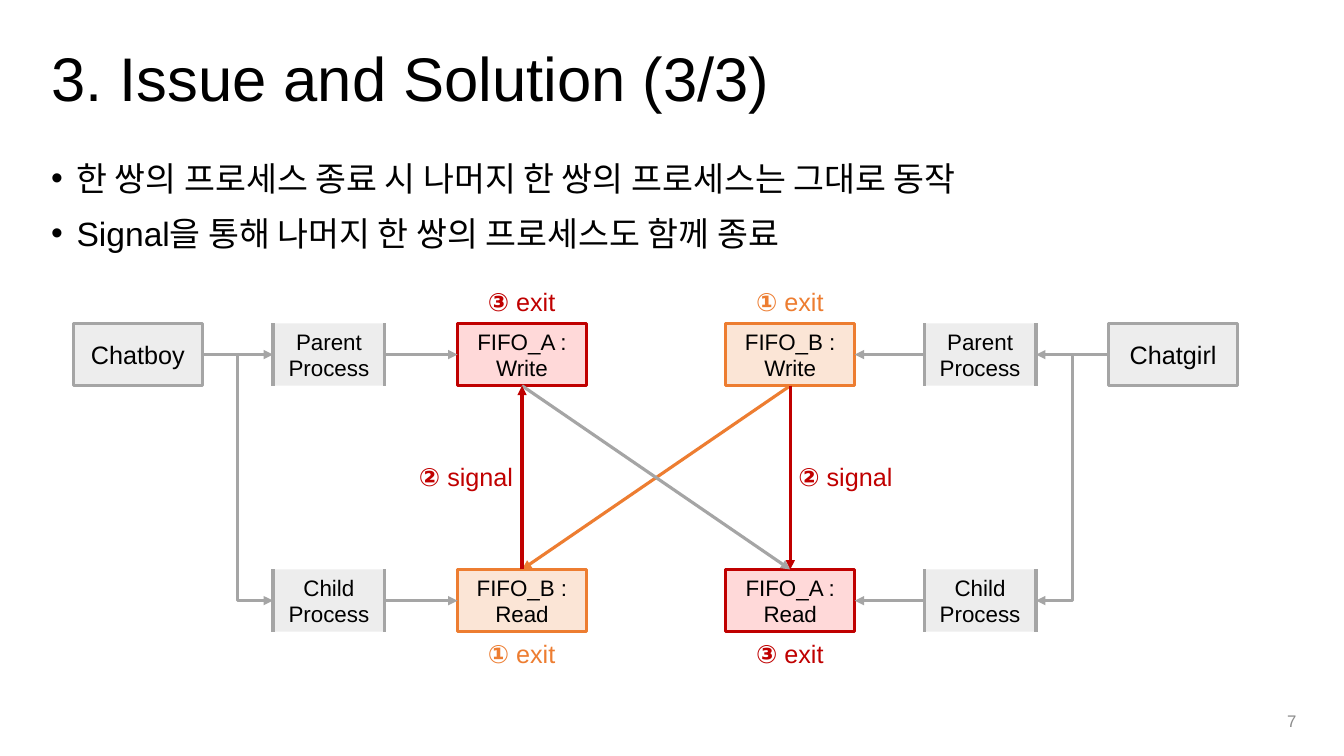
from lxml.etree import SubElement
from pptx import Presentation
from pptx.dml.color import RGBColor
from pptx.enum.shapes import MSO_CONNECTOR, MSO_SHAPE
from pptx.enum.text import MSO_ANCHOR, PP_ALIGN
from pptx.oxml.ns import qn
from pptx.util import Cm, Pt

HUES = {
    "black": "000000", "gray": "A5A5A5", "pale": "EDEDED", "page": "8C8C8C",
    "red": "C00000", "pink": "FFD9D9", "orange": "ED7D31", "peach": "FBE5D6",
}
TOP, LEFT, BOTTOM, RIGHT = range(4)
BOX_W, PROC_W, BOX_H = 3.25, 2.82, 1.57
TAG_W, TAG_H = 3.23, 1.02
UPPER, LOWER = 1.06, 7.26


def hue(name):
    return RGBColor.from_string(HUES[name])


def style(run, size, color, bold=False):
    run.font.name = "Arial"
    run.font.size = Pt(size)
    run.font.bold = bold
    run.font.color.rgb = hue(color)


def add_text(slide, box, text, size, color="black", align=PP_ALIGN.LEFT, anchor=MSO_ANCHOR.TOP):
    frame = slide.shapes.add_textbox(*map(Cm, box)).text_frame
    frame.word_wrap = True
    frame.vertical_anchor = anchor
    frame.text = text
    for para in frame.paragraphs:
        para.alignment = align
        for run in para.runs:
            style(run, size, color)
    return frame


def add_title(slide, box):
    frame = add_text(slide, box, "3. Issue and Solution (3/3)", 44, anchor=MSO_ANCHOR.MIDDLE)
    frame.paragraphs[0].line_spacing = 0.9


def add_points(slide, box):
    text = "한 쌍의 프로세스 종료 시 나머지 한 쌍의 프로세스는 그대로 동작\nSignal을 통해 나머지 한 쌍의 프로세스도 함께 종료"
    for para in add_text(slide, box, text, 24).paragraphs:
        para.space_before = Pt(10)
        props = para._p.get_or_add_pPr()
        props.set("marL", str(Cm(0.64)))
        props.set("indent", str(Cm(-0.64)))
        SubElement(props, qn("a:buFont")).set("typeface", "Arial")
        SubElement(props, qn("a:buChar")).set("char", "•")


def add_node(slide, box, text, size, fill="pale", line="gray", kind=MSO_SHAPE.RECTANGLE):
    node = slide.shapes.add_shape(kind, *map(Cm, box))
    if kind == MSO_SHAPE.DOUBLE_BRACKET:
        node.adjustments[0] = 0
    node.shadow.inherit = False
    node.fill.solid()
    node.fill.fore_color.rgb = hue(fill)
    node.line.color.rgb = hue(line)
    node.line.width = Pt(2.25)
    frame = node.text_frame
    frame.word_wrap = True
    frame.vertical_anchor = MSO_ANCHOR.MIDDLE
    frame.text = text
    frame.paragraphs[0].alignment = PP_ALIGN.CENTER
    style(frame.paragraphs[0].runs[0], size, "black")
    return node


def add_arrow(slide, start, out, end, into, color="gray", kind=MSO_CONNECTOR.STRAIGHT):
    arrow = slide.shapes.add_connector(kind, 0, 0, 0, 0)
    arrow.begin_connect(start, out)
    arrow.end_connect(end, into)
    arrow.line.color.rgb = hue(color)
    arrow.line.width = Pt(2.25)
    SubElement(arrow.line._get_or_add_ln(), qn("a:tailEnd")).set("type", "triangle")
    SubElement(arrow._element.spPr, qn("a:effectLst"))


def add_tag(slide, box, mark, word, color):
    frame = add_text(slide, box, mark + " ", 18, color, PP_ALIGN.CENTER)
    para = frame.paragraphs[0]
    para.runs[0].font.bold = True
    run = para.add_run()
    run.text = word
    style(run, 18, color)


def add_side(slide, box, name, cols, fifos, out, into):
    x, y = box
    chat_x, proc_x, fifo_x = cols
    chat = add_node(slide, (x + chat_x, y + UPPER, BOX_W, BOX_H), name, 18)
    ends = []
    rows = zip((UPPER, LOWER), ("Parent", "Child"), fifos,
               (MSO_CONNECTOR.STRAIGHT, MSO_CONNECTOR.ELBOW))
    for row, role, (label, fill, line), kind in rows:
        proc = add_node(slide, (x + proc_x, y + row, PROC_W, BOX_H), role + " Process", 16,
                        kind=MSO_SHAPE.DOUBLE_BRACKET)
        fifo = add_node(slide, (x + fifo_x, y + row, BOX_W, BOX_H), label, 16, fill, line)
        add_arrow(slide, chat, out, proc, into, kind=kind)
        add_arrow(slide, proc, out, fifo, into)
        ends.append(fifo)
    return ends


def add_flow(slide, box):
    x, y = box
    red, orange = ("pink", "red"), ("peach", "orange")
    a_write, b_read = add_side(
        slide, box, "Chatboy", (0, 5.03, 9.68),
        (("FIFO_A : Write", *red), ("FIFO_B : Read", *orange)), RIGHT, LEFT)
    b_write, a_read = add_side(
        slide, box, "Chatgirl", (26.09, 21.44, 16.44),
        (("FIFO_B : Write", *orange), ("FIFO_A : Read", *red)), LEFT, RIGHT)
    add_arrow(slide, b_write, BOTTOM, b_read, TOP, "orange")
    add_arrow(slide, a_write, BOTTOM, a_read, TOP)
    tags = (
        (9.68, 0, "③", "exit", "red"), (16.44, 8.86, "③", "exit", "red"),
        (8.28, 4.42, "②", "signal", "red"), (17.84, 4.42, "②", "signal", "red"),
        (16.44, 0, "①", "exit", "orange"), (9.68, 8.86, "①", "exit", "orange"),
    )
    for dx, dy, mark, word, color in tags:
        add_tag(slide, (x + dx, y + dy, TAG_W, TAG_H), mark, word, color)
    add_arrow(slide, b_read, TOP, a_write, BOTTOM, "red")
    add_arrow(slide, b_write, BOTTOM, a_read, TOP, "red")


def main():
    deck = Presentation()
    deck.slide_width, deck.slide_height = Cm(33.87), Cm(19.05)
    slide = deck.slides.add_slide(deck.slide_layouts[6])
    add_title(slide, (1.04, 0.79, 31.75, 2.51))
    add_points(slide, (1.04, 3.86, 31.75, 13.08))
    add_text(slide, (25.3, 17.65, 7.62, 1.02), "7", 12, "page", PP_ALIGN.RIGHT, MSO_ANCHOR.MIDDLE)
    add_flow(slide, (1.85, 7.09))
    deck.save("out.pptx")


if __name__ == "__main__":
    main()
